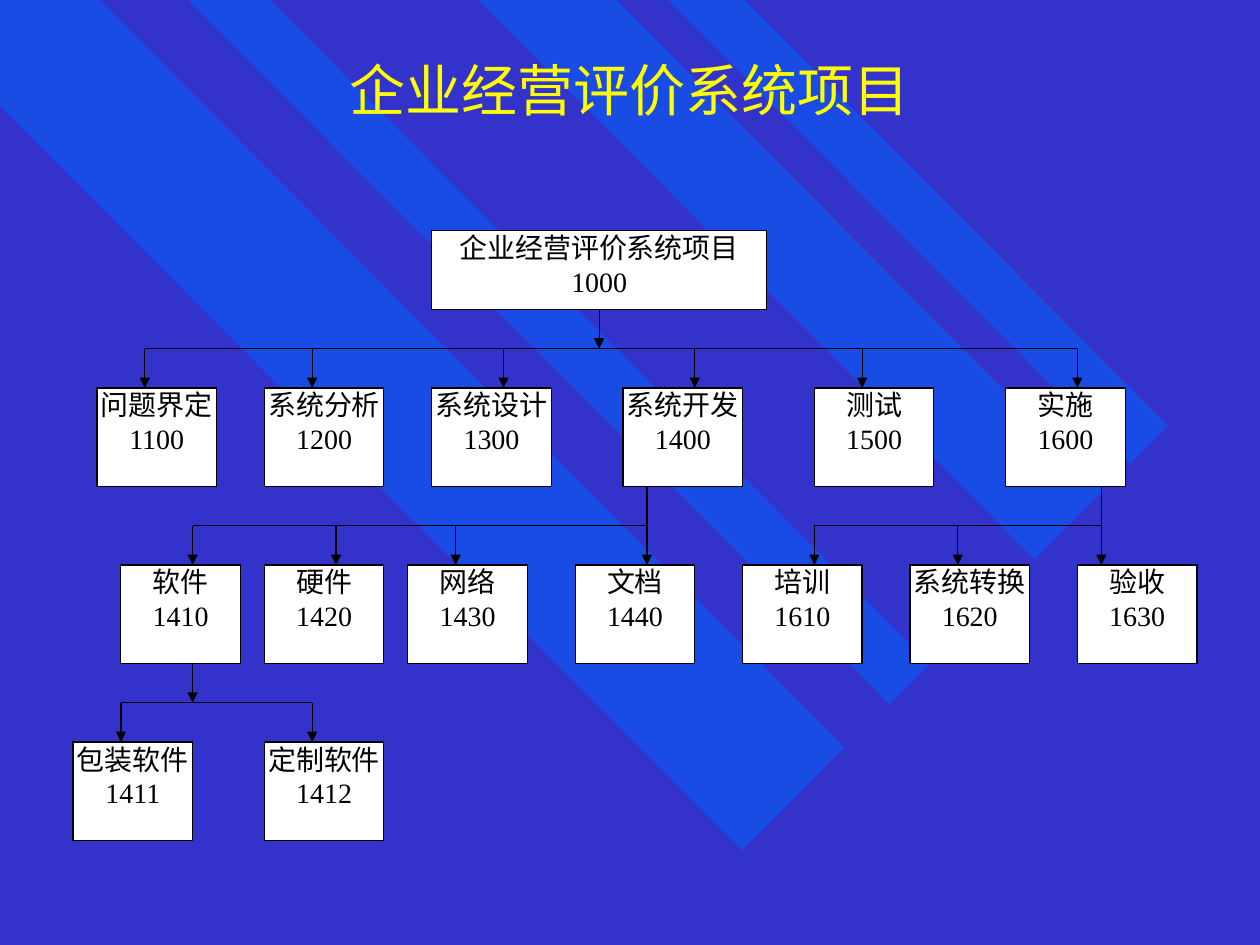
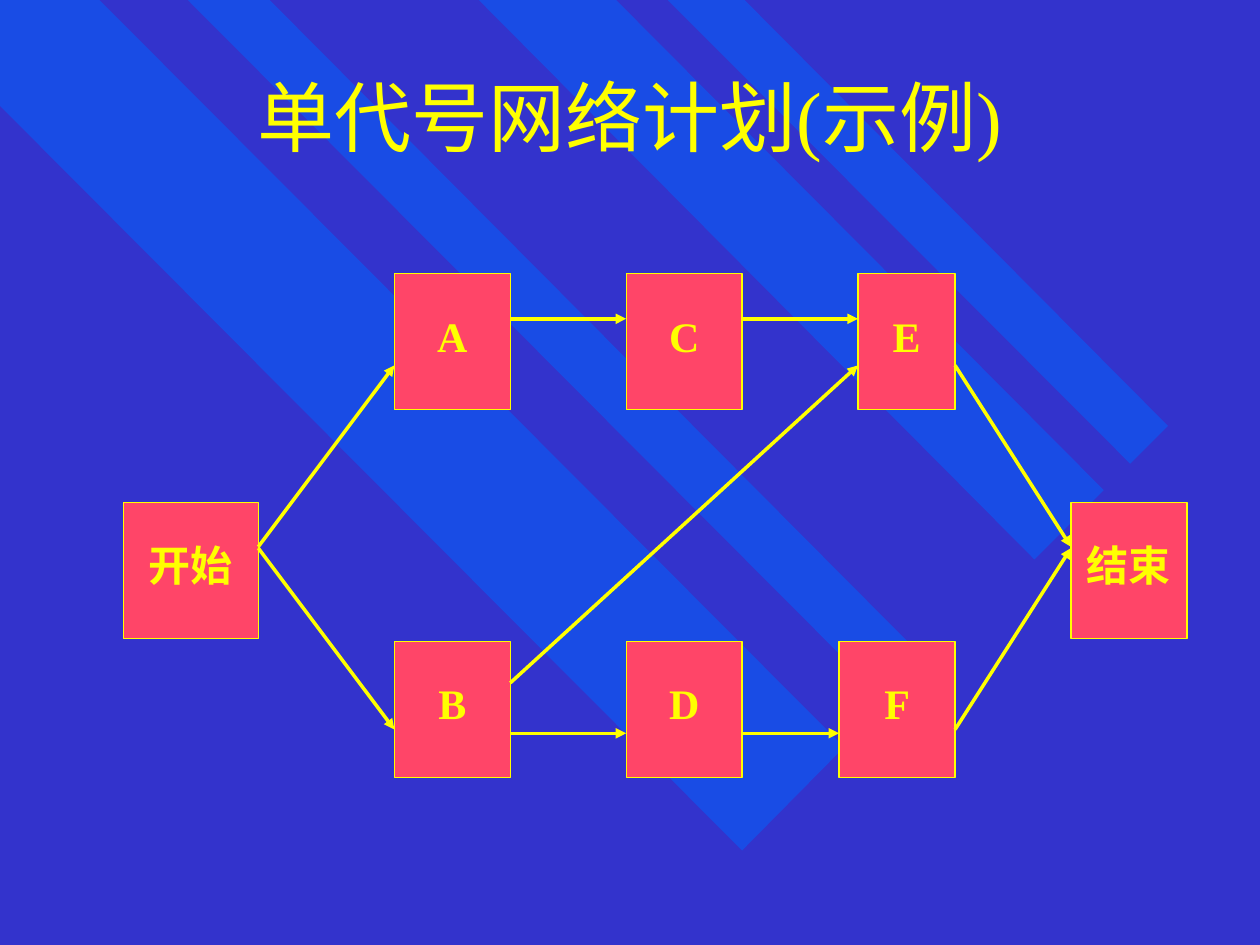
from lxml.etree import SubElement
from pptx import Presentation
from pptx.dml.color import RGBColor
from pptx.enum.shapes import MSO_CONNECTOR, MSO_SHAPE
from pptx.enum.text import MSO_ANCHOR, PP_ALIGN
from pptx.oxml.ns import qn
from pptx.util import Inches, Pt

FONT = "Times New Roman"
COLORS = {
    "background": "3333CC",
    "band": "0066FF",
    "yellow": "FFFF00",
    "node": "FF4568",
    "white": "FFFFFF",
    "black": "000000",
}

# Diagonal bands, as corner points in inches
BANDS = [
    [(6.7, 5.93), (0.79, 0), (0, 0), (0, 0.84), (5.89, 6.75)],
    [(2.14, 0), (7.38, 5.27), (7.06, 5.59), (1.49, 0)],
    [(4.89, 0), (8.76, 3.89), (8.21, 4.44), (3.8, 0)],
    [(5.3, 0), (8.97, 3.68), (9.27, 3.38), (5.91, 0)],
]

# Work breakdown: grid of 47 columns by 15.5 rows; a work box is 5 by 2.5
GRID_COLUMNS, GRID_ROWS = 47, 15.5
WORK_WIDTH, WORK_HEIGHT = 5, 2.5
PROJECT = (15, 0, 14, 2, "企业经营评价系统项目", "1000")
WORK_ROWS = {
    4: [(1, "问题界定", "1100"), (8, "系统分析", "1200"),
        (15, "系统设计", "1300"), (23, "系统开发", "1400"),
        (31, "测试", "1500"), (39, "实施", "1600")],
    8.5: [(2, "软件", "1410"), (8, "硬件", "1420"), (14, "网络", "1430"),
          (21, "文档", "1440"), (28, "培训", "1610"),
          (35, "系统转换", "1620"), (42, "验收", "1630")],
    13: [(0, "包装软件", "1411"), (8, "定制软件", "1412")],
}
# Branches: stem column, bottom row of the parent, row of the rail, drop columns
BRANCHES = [
    (22, 2, 3, [3, 10, 18, 26, 33, 42]),
    (24, 6.5, 7.5, [5, 11, 16, 24]),
    (43, 6.5, 7.5, [31, 37, 43]),
    (5, 11, 12, [2, 10]),
]

# Network plan: left, top and width of each node within the plan
NODE_HEIGHT = 1.08
TOP_ROW, MIDDLE_ROW, BOTTOM_ROW = 0, 1.82, 2.92
NODES = {
    "开始": (0, MIDDLE_ROW, 1.07),
    "A": (2.15, TOP_ROW, 0.92),
    "B": (2.15, BOTTOM_ROW, 0.92),
    "C": (3.99, TOP_ROW, 0.92),
    "D": (3.99, BOTTOM_ROW, 0.92),
    "E": (5.83, TOP_ROW, 0.77),
    "F": (5.68, BOTTOM_ROW, 0.92),
    "结束": (7.52, MIDDLE_ROW, 0.92),
}
# Links: node and depth below its top, at each end
LINKS = [
    ("开始", 0.35, "A", 0.73),
    ("开始", 0.36, "B", 0.7),
    ("A", 0.36, "C", 0.36),
    ("C", 0.36, "E", 0.36),
    ("B", 0.73, "D", 0.73),
    ("D", 0.73, "F", 0.73),
    ("E", 0.73, "结束", 0.35),
    ("F", 0.7, "结束", 0.36),
    ("B", 0.33, "E", 0.73),
]


def color(name):
    return RGBColor.from_string(COLORS[name])


def write(shape, lines, size, color_name, anchor, insets, bold=False):
    frame = shape.text_frame
    frame.word_wrap = True
    frame.vertical_anchor = anchor
    (frame.margin_left, frame.margin_top,
     frame.margin_right, frame.margin_bottom) = map(Inches, insets)
    frame.text = "\n".join(lines)
    for para in frame.paragraphs:
        para.alignment = PP_ALIGN.CENTER
        para.font.name = FONT
        para.font.size = Pt(size)
        para.font.bold = bold
        para.font.color.rgb = color(color_name)


def add_box(page, box, fill, line):
    shape = page.shapes.add_shape(MSO_SHAPE.RECTANGLE, *map(Inches, box))
    shape.shadow.inherit = False
    shape.fill.solid()
    shape.fill.fore_color.rgb = color(fill)
    shape.line.color.rgb = color(line)
    shape.line.width = Pt(0.75)
    return shape


def add_line(page, start, end, color_name, width, arrow=True):
    line = page.shapes.add_connector(
        MSO_CONNECTOR.STRAIGHT, *map(Inches, (*start, *end)))
    line.line.color.rgb = color(color_name)
    line.line.width = Pt(width)
    if arrow:
        SubElement(line.line._get_or_add_ln(), qn("a:tailEnd"), type="triangle")
    SubElement(line._element.spPr, qn("a:effectLst"))


def add_bands(page):
    for first, *others in BANDS:
        builder = page.shapes.build_freeform(*map(Inches, first), scale=1.0)
        builder.add_line_segments(
            [(Inches(x), Inches(y)) for x, y in others], close=True)
        band = builder.convert_to_shape()
        band.shadow.inherit = False
        band.fill.solid()
        band.fill.fore_color.rgb = color("band")
        band.line.fill.background()
        fill_color = band._element.spPr.find(".//" + qn("a:srgbClr"))
        SubElement(fill_color, qn("a:alpha"), val="50000")


def add_page(deck, title, title_height, title_size):
    page = deck.slides.add_slide(deck.slide_layouts[6])
    page.background.fill.solid()
    page.background.fill.fore_color.rgb = color("background")
    add_bands(page)
    title_box = page.shapes.add_textbox(
        *map(Inches, (0.75, 0.25, 8.5, title_height)))
    write(title_box, [title], title_size, "yellow", MSO_ANCHOR.MIDDLE,
          (0.1, 0.05, 0.1, 0.05))
    return page


def add_work_breakdown(page, box):
    left, top, width, height = box
    column_step, row_step = width / GRID_COLUMNS, height / GRID_ROWS

    def place(column, row):
        return left + column * column_step, top + row * row_step

    def connect(start, end, arrow=True):
        add_line(page, place(*start), place(*end), "black", 0.75, arrow)

    # Work boxes
    works = [PROJECT] + [
        (column, row, WORK_WIDTH, WORK_HEIGHT, name, code)
        for row, entries in WORK_ROWS.items()
        for column, name, code in entries]
    for column, row, columns, rows, name, code in works:
        work = add_box(
            page,
            (*place(column, row), columns * column_step, rows * row_step),
            "white", "black")
        write(work, [name, code], 16, "black", MSO_ANCHOR.TOP, (0, 0, 0, 0))

    # Stems, rails and drops; a drop below its stem is one long arrow
    for stem, bottom, rail, drops in BRANCHES:
        connect((drops[0], rail), (drops[-1], rail), arrow=False)
        if stem not in drops:
            connect((stem, bottom), (stem, rail))
        for drop in drops:
            connect((drop, bottom if drop == stem else rail), (drop, rail + 1))


def add_network_plan(page, box):
    left, top = box[:2]
    for name, (x, y, width) in NODES.items():
        node = add_box(page, (left + x, top + y, width, NODE_HEIGHT),
                       "node", "yellow")
        write(node, [name], 24, "yellow", MSO_ANCHOR.TOP,
              (0.1, 0.29, 0.1, 0.05), bold=True)
    for source, source_depth, target, target_depth in LINKS:
        source_x, source_y, source_width = NODES[source]
        target_x, target_y, _ = NODES[target]
        add_line(page,
                 (left + source_x + source_width, top + source_y + source_depth),
                 (left + target_x, top + target_y + target_depth),
                 "yellow", 2)


def main():
    deck = Presentation()
    deck.slide_width, deck.slide_height = Inches(10), Inches(7.5)

    page = add_page(deck, "企业经营评价系统项目", 0.92, 32)
    add_work_breakdown(page, (0.58, 1.83, 8.92, 4.84))

    page = add_page(deck, "单代号网络计划(示例)", 1.33, 44)
    add_network_plan(page, (0.98, 2.17, 8.44, 4))

    deck.save("out.pptx")


if __name__ == "__main__":
    main()
